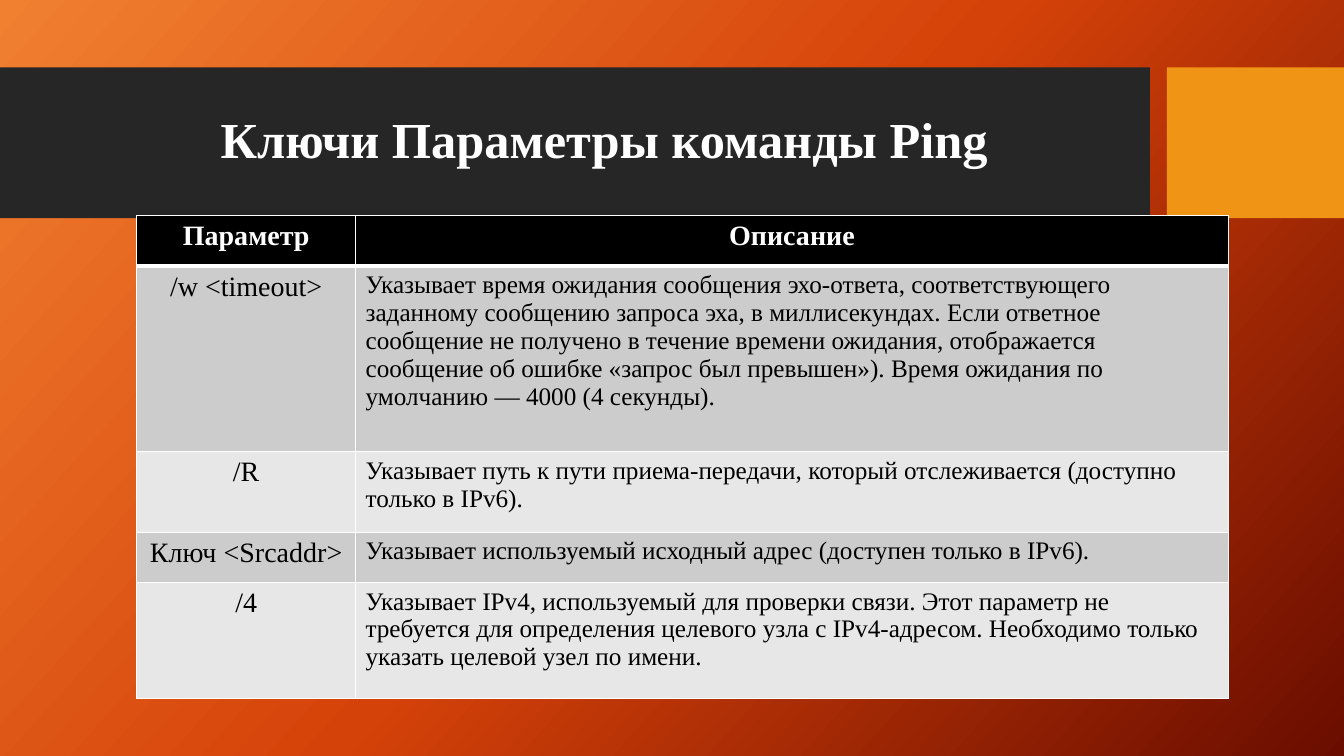
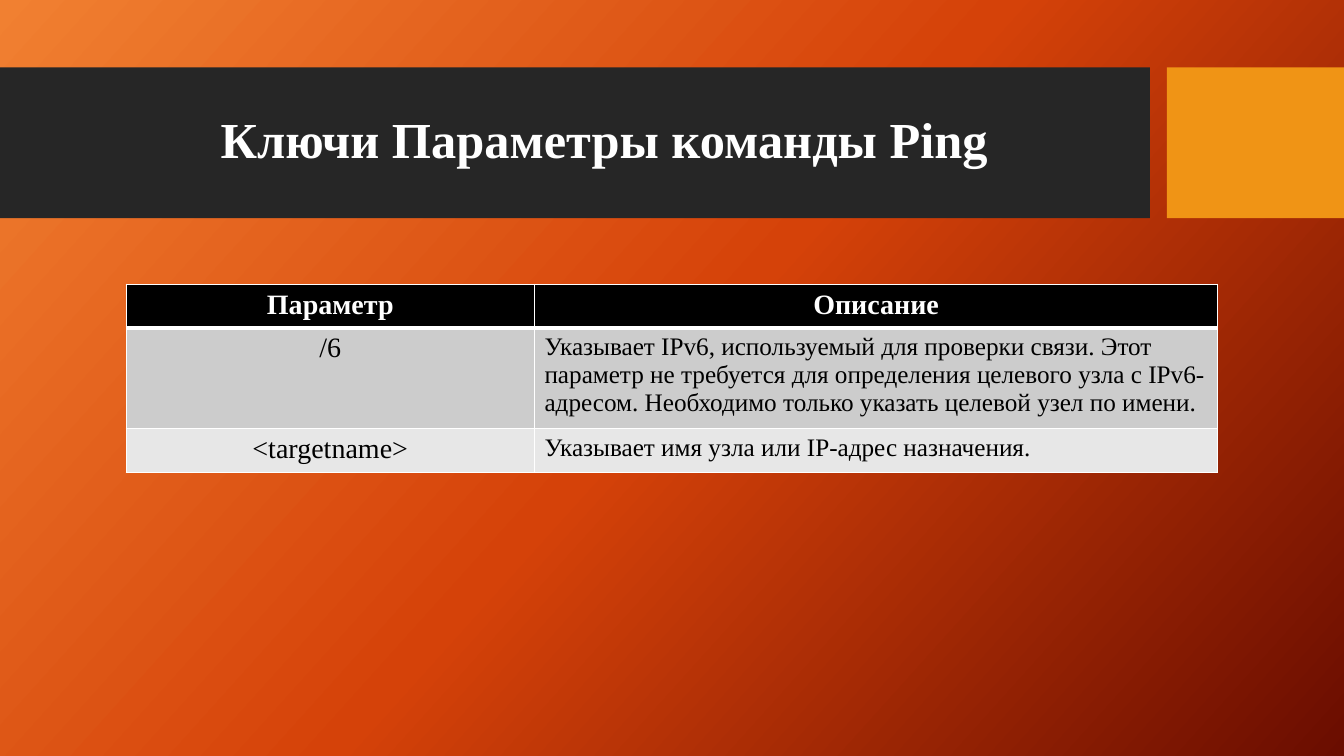
from copy import deepcopy

from lxml import etree
from pptx import Presentation
from pptx.dml.color import RGBColor
from pptx.enum import shapes, text
from pptx.oxml.ns import qn
from pptx.util import Cm, Pt

# Shared style
FONT = "Times New Roman"
WHITE = RGBColor(0xFF, 0xFF, 0xFF)
BLACK = RGBColor(0x00, 0x00, 0x00)
BAND = RGBColor(0x26, 0x26, 0x26)
ACCENT = RGBColor(0xF0, 0x94, 0x15)
ROW_FILLS = (RGBColor(0xCC, 0xCC, 0xCC), RGBColor(0xE7, 0xE7, 0xE7))
GRADIENT = (
    (0, RGBColor(0xF1, 0x80, 0x31)),
    (0.5, RGBColor(0xD5, 0x42, 0x09)),
    (1, RGBColor(0x6A, 0x0D, 0x00)),
)
SLIDE_W, SLIDE_H = Cm(33.87), Cm(19.05)
BAND_TOP, BAND_H = Cm(1.7), Cm(3.8)
TITLE = "Ключи Параметры команды Ping"
HEADER = ("Параметр", "Описание")


class Deck:
    def __init__(self):
        self.prs = Presentation()
        self.prs.slide_width, self.prs.slide_height = SLIDE_W, SLIDE_H
        self.slide = None
        self.set_background()

    def set_background(self):
        master = self.prs.slide_master
        fill = master.background.fill
        fill.gradient()
        fill.gradient_angle = 360 - 42  # counted anticlockwise
        stops = master.element.find(".//" + qn("a:gsLst"))
        stops.insert(1, deepcopy(stops[0]))
        for stop, (position, color) in zip(fill.gradient_stops, GRADIENT):
            stop.position = position
            stop.color.rgb = color

    def add_slide(self, title):
        self.slide = self.prs.slides.add_slide(self.prs.slide_layouts[6])
        self.band(0, Cm(28.98), BAND)
        accent_left = Cm(29.41)
        self.band(accent_left, SLIDE_W - accent_left, ACCENT)
        self.title(title)

    def band(self, left, width, color):
        sp = self.slide.shapes.add_shape(
            shapes.MSO_SHAPE.RECTANGLE, left, BAND_TOP, width, BAND_H)
        sp.shadow.inherit = False
        sp.fill.solid()
        sp.fill.fore_color.rgb = color
        sp.line.fill.background()

    def add_text(self, tf, words, size, color, bold=False, centered=True):
        p = tf.paragraphs[0]
        p.alignment = text.PP_ALIGN.CENTER if centered else text.PP_ALIGN.LEFT
        r = p.add_run()
        r.text = words
        r.font.name = FONT
        r.font.size = Pt(size)
        r.font.bold = bold
        r.font.color.rgb = color
        return p

    def title(self, words):
        tf = self.slide.shapes.add_textbox(
            Cm(1.88), Cm(2.08), Cm(26.7), Cm(3)).text_frame
        tf.word_wrap = True
        tf.vertical_anchor = text.MSO_ANCHOR.MIDDLE
        self.add_text(tf, words, 36, WHITE, bold=True).line_spacing = 0.9

    def borders(self, cell, top, bottom):
        tc_pr = cell._tc.get_or_add_tcPr()
        for side, width in (("L", 1), ("R", 1), ("T", top), ("B", bottom)):
            ln = etree.SubElement(tc_pr, qn("a:ln" + side), w=str(Pt(width)))
            solid = etree.SubElement(ln, qn("a:solidFill"))
            etree.SubElement(solid, qn("a:srgbClr"), val=str(WHITE))

    def table(self, left, top, widths, heights, rows):
        rows = [HEADER, *rows]
        table = self.slide.shapes.add_table(
            len(rows), len(widths), Cm(left), Cm(top),
            Cm(sum(widths)), Cm(sum(heights))).table
        table.horz_banding = False
        for column, width in zip(table.columns, widths):
            column.width = Cm(width)
        for i, (row, height, values) in enumerate(zip(table.rows, heights, rows)):
            row.height = Cm(height)
            is_header = i == 0
            for j, (cell, words) in enumerate(zip(row.cells, values)):
                # A thick rule separates the header from the body
                self.borders(cell, 3 if i == 1 else 1, 3 if is_header else 1)
                cell.fill.solid()
                cell.fill.fore_color.rgb = BLACK if is_header else ROW_FILLS[(i - 1) % 2]
                centered = is_header or j == 0
                self.add_text(cell.text_frame, words, 20 if centered else 18,
                              WHITE if is_header else BLACK, is_header, centered)


def main():
    deck = Deck()

    # Slide 1: timeout, route, source address and IPv4
    deck.add_slide(TITLE)
    deck.table(3.45, 5.44, (5.51, 22), (1.27, 4.67, 2.03, 1.27, 2.92), [
        ("/w <timeout>",
         "Указывает время ожидания сообщения эхо-ответа, соответствующего "
         "заданному сообщению запроса эха, в миллисекундах. Если ответное "
         "сообщение не получено в течение времени ожидания, отображается "
         "сообщение об ошибке «запрос был превышен»). Время ожидания по "
         "умолчанию — 4000 (4 секунды)."),
        ("/R",
         "Указывает путь к пути приема-передачи, который отслеживается "
         "(доступно только в IPv6)."),
        ("Ключ <Srcaddr>",
         "Указывает используемый исходный адрес (доступен только в IPv6)."),
        ("/4",
         "Указывает IPv4, используемый для проверки связи. Этот параметр не "
         "требуется для определения целевого узла с IPv4-адресом. Необходимо "
         "только указать целевой узел по имени."),
    ])

    # Slide 2: IPv6 and target name
    deck.add_slide(TITLE)
    deck.table(3.18, 7.16, (10.29, 17.22), (1.04, 2.37, 1.04), [
        ("/6",
         "Указывает IPv6, используемый для проверки связи. Этот параметр не "
         "требуется для определения целевого узла с IPv6-адресом. Необходимо "
         "только указать целевой узел по имени."),
        ("<targetname>", "Указывает имя узла или IP-адрес назначения."),
    ])

    deck.prs.save("out.pptx")


if __name__ == "__main__":
    main()
